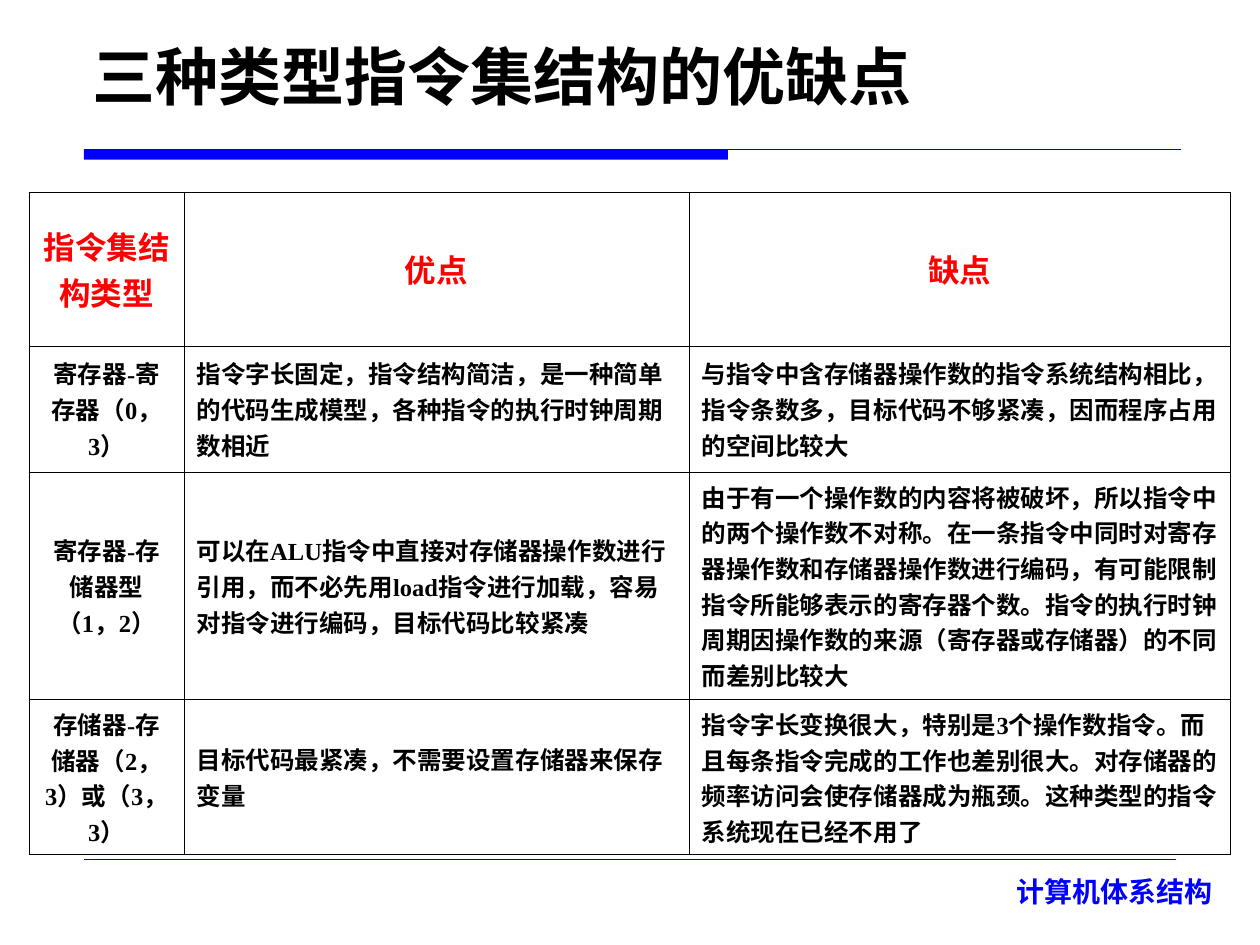
from lxml import etree
from pptx import Presentation
from pptx.dml.color import RGBColor
from pptx.enum.lang import MSO_LANGUAGE_ID
from pptx.enum.shapes import MSO_CONNECTOR, MSO_SHAPE
from pptx.enum.text import MSO_ANCHOR, PP_ALIGN
from pptx.oxml import parse_xml
from pptx.oxml.ns import nsdecls, qn
from pptx.util import Pt

CHINESE = MSO_LANGUAGE_ID.SIMPLIFIED_CHINESE
LEFT, CENTER, RIGHT = PP_ALIGN.LEFT, PP_ALIGN.CENTER, PP_ALIGN.RIGHT
MIDDLE, BOTTOM = MSO_ANCHOR.MIDDLE, MSO_ANCHOR.BOTTOM
CJK_FONT = "Noto Sans CJK SC"
BLACK, RED, BLUE, RULE_BLUE = "000000", "FF0000", "0000FF", "0000CC"

TITLE = "三种类型指令集结构的优缺点"
FOOTER = "计算机体系结构"
HEADER = ("指令集结构类型", "优点", "缺点")
ROWS = [
    ("寄存器-寄存器（0，3）",
     "指令字长固定，指令结构简洁，是一种简单的代码生成模型，各种指令的执行时钟周期数相近",
     "与指令中含存储器操作数的指令系统结构相比，指令条数多，目标代码不够紧凑，因而程序占用的空间比较大"),
    ("寄存器-存储器型\n（1，2）",
     "可以在ALU指令中直接对存储器操作数进行引用，而不必先用load指令进行加载，容易对指令进行编码，目标代码比较紧凑",
     "由于有一个操作数的内容将被破坏，所以指令中的两个操作数不对称。在一条指令中同时对寄存器操作数和存储器操作数进行编码，"
     "有可能限制指令所能够表示的寄存器个数。指令的执行时钟周期因操作数的来源（寄存器或存储器）的不同而差别比较大"),
    ("存储器-存储器（2，3）或（3，3）",
     "目标代码最紧凑，不需要设置存储器来保存变量",
     "指令字长变换很大，特别是3个操作数指令。而且每条指令完成的工作也差别很大。对存储器的频率访问会使存储器成为瓶颈。"
     "这种类型的指令系统现在已经不用了"),
]
COLUMN_WIDTHS = (88.4, 288.7, 309.3)
ROW_HEIGHTS = (88, 72, 130, 88.5)
TABLE_LEFT, TABLE_TOP = 16.7, 109.7
RULE_LEFT = 48


def color(hex_code):
    return RGBColor.from_string(hex_code)


def write(frame, text, size, font=CJK_FONT, fill=BLACK, align=LEFT):
    """Fill a text frame with bold text, one paragraph per line."""
    frame.word_wrap = True
    frame.text = text
    for paragraph in frame.paragraphs:
        paragraph.alignment = align
        for run in paragraph.runs:
            run.font.size = Pt(size)
            run.font.bold = True
            run.font.name = font
            run.font.color.rgb = color(fill)
            run.font.language_id = CHINESE
            east_asian = etree.Element(qn("a:ea"), typeface=CJK_FONT)
            run.font._element.find(qn("a:latin")).addnext(east_asian)


def add_rule(slide, right, top, width):
    rule = slide.shapes.add_connector(
        MSO_CONNECTOR.STRAIGHT, Pt(RULE_LEFT), Pt(top), Pt(right), Pt(top))
    rule.line.color.rgb = color(RULE_BLUE)
    rule.line.width = Pt(width)
    etree.SubElement(rule._element.spPr, qn("a:effectLst"))


def add_borders(cell, hex_code=BLACK, width=0.45):
    properties = cell._tc.get_or_add_tcPr()
    for index, side in enumerate(("lnL", "lnR", "lnT", "lnB")):
        properties.insert(index, parse_xml(
            f'<a:{side} {nsdecls("a")} w="{Pt(width)}"><a:solidFill>'
            f'<a:srgbClr val="{hex_code}"/></a:solidFill></a:{side}>'))


def add_comparison(slide):
    grid = [HEADER, *ROWS]
    table = slide.shapes.add_table(
        len(grid), len(HEADER), Pt(TABLE_LEFT), Pt(TABLE_TOP),
        Pt(sum(COLUMN_WIDTHS)), Pt(sum(ROW_HEIGHTS))).table
    table.first_row = table.horz_banding = False
    for column, width in zip(table.columns, COLUMN_WIDTHS):
        column.width = Pt(width)
    for row, height in zip(table.rows, ROW_HEIGHTS):
        row.height = Pt(height)
    for r, texts in enumerate(grid):
        for c, text in enumerate(texts):
            cell = table.cell(r, c)
            cell.fill.background()
            cell.vertical_anchor = MIDDLE
            write(cell.text_frame, text, size=14 if r else 18,
                  font="Times New Roman", fill=BLACK if r else RED,
                  align=LEFT if r and c else CENTER)
            add_borders(cell)


def main():
    presentation = Presentation()
    presentation.slide_width, presentation.slide_height = Pt(720), Pt(540)
    slide = presentation.slides.add_slide(presentation.slide_layouts[5])

    bar = slide.shapes.add_shape(
        MSO_SHAPE.RECTANGLE, Pt(RULE_LEFT), Pt(85.5), Pt(368), Pt(5.8))
    bar.shadow.inherit = False
    bar.fill.solid()
    bar.fill.fore_color.rgb = color(BLUE)
    bar.line.fill.background()
    add_rule(slide, right=674.8, top=85.5, width=0.5)
    add_rule(slide, right=672, top=491, width=0.25)

    footer = slide.shapes.add_textbox(Pt(523.5), Pt(496), Pt(176.4), Pt(31))
    write(footer.text_frame, FOOTER, size=16, fill=BLUE, align=RIGHT)

    title = slide.shapes.title
    title.left, title.top, title.width, title.height = (
        Pt(45.4), Pt(15), Pt(547), Pt(53.3))
    title.text_frame.vertical_anchor = BOTTOM
    write(title.text_frame, TITLE, size=36, font="DejaVu Sans")

    add_comparison(slide)
    presentation.save("out.pptx")


if __name__ == "__main__":
    main()
